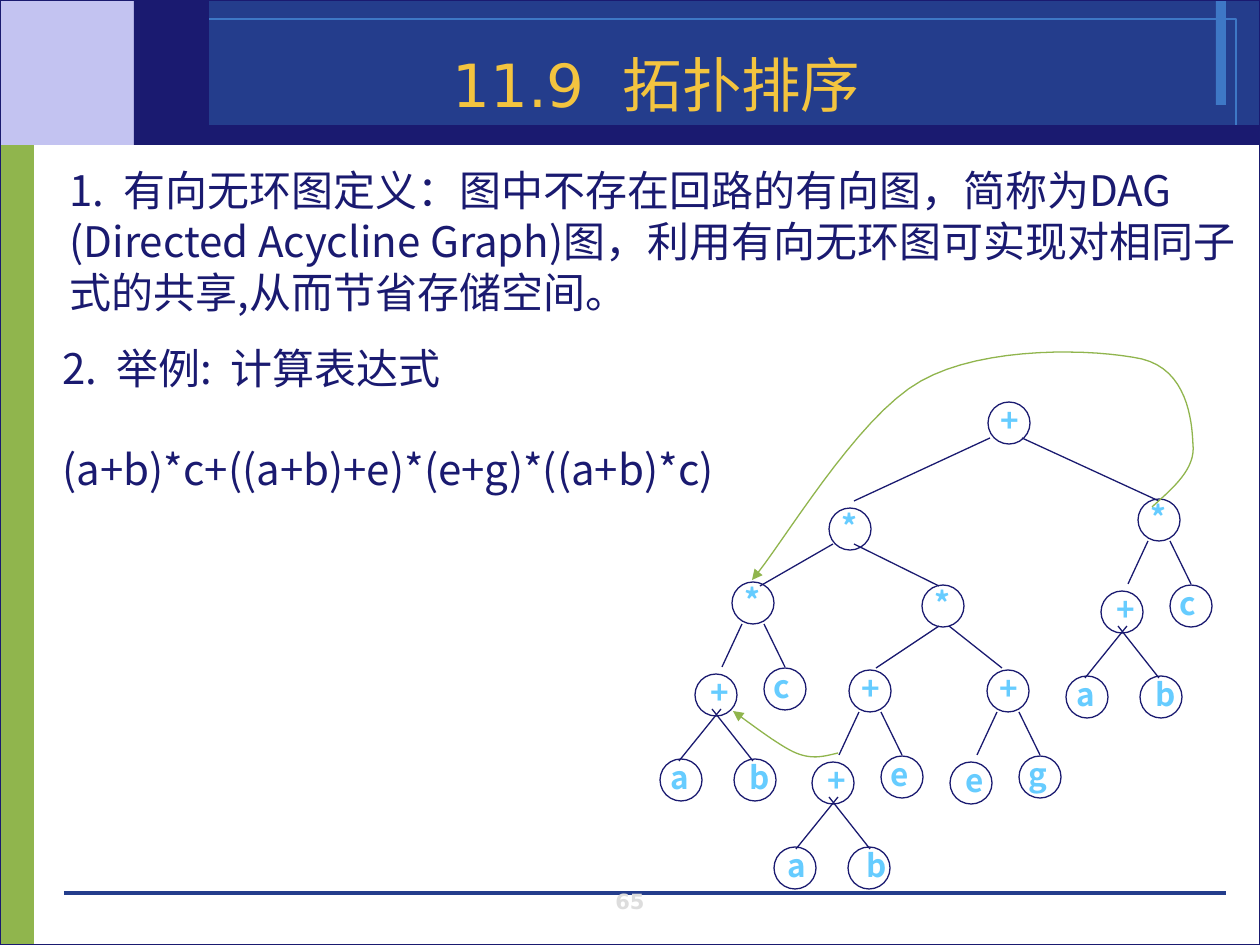
"""Build the topological sorting slide with its shared expression tree."""
from dataclasses import dataclass

from lxml import etree
from pptx import Presentation
from pptx.dml.color import RGBColor
from pptx.enum.shapes import MSO_CONNECTOR, MSO_SHAPE
from pptx.enum.text import MSO_ANCHOR, MSO_AUTO_SIZE, PP_ALIGN
from pptx.oxml.ns import qn
from pptx.util import Pt

RECTANGLE, OVAL = MSO_SHAPE.RECTANGLE, MSO_SHAPE.OVAL
STRAIGHT = MSO_CONNECTOR.STRAIGHT
TOP, BOTTOM = MSO_ANCHOR.TOP, MSO_ANCHOR.BOTTOM
LEFT, CENTER, JUSTIFY = PP_ALIGN.LEFT, PP_ALIGN.CENTER, PP_ALIGN.JUSTIFY
NO_AUTOFIT = MSO_AUTO_SIZE.NONE
EMU_PER_PX = 914400 / 126
NODE_SIZE, LABEL_SIZE = 42, (53, 50)
CURVE_STEPS = 16


@dataclass(frozen=True)
class Theme:
    """Colours, fonts and type sizes of the slide."""
    navy: str = "1A1A70"
    blue: str = "243D8C"
    sky: str = "3E78C6"
    lavender: str = "C3C3F1"
    green: str = "90B54D"
    gold: str = "F3C43F"
    label: str = "66CCFF"
    grey: str = "DDDDDD"
    heading_font: str = "DejaVu Sans"
    body_font: str = "Noto Sans CJK SC"
    serif_font: str = "Times New Roman"
    title_size: int = 34
    body_size: int = 24
    label_size: int = 18
    number_size: int = 12
    line_width: float = 0.75


@dataclass(frozen=True)
class Box:
    """A rectangle in px."""
    left: int
    top: int
    width: int
    height: int

    def inner(self, left, top, width, height):
        """Return a box placed relative to this one."""
        return Box(self.left + left, self.top + top, width, height)

    def point(self, position):
        """Return a relative position in EMU."""
        return px(self.left + position[0]), px(self.top + position[1])

    def emu(self):
        """Return left, top, width and height in EMU."""
        return [px(value) for value in (self.left, self.top, self.width, self.height)]


@dataclass(frozen=True)
class Branch:
    """Offsets from a parent node to its two children, as left and right."""
    nodes: tuple
    edges: tuple
    label_shifts: tuple


THEME = Theme()
FORK = Branch(((-37, 92), (32, 86)),
              (((-10, 85), (10, 42)), ((53, 85), (32, 42))), (3, -3))
LEAVES = Branch(((-35, 85), (39, 85)),
                (((-16, 87), (26, 35)), ((58, 87), (17, 35))), (-2, 3))


def px(value):
    """Turn px into EMU."""
    return round(value * EMU_PER_PX)


def apply_format(target, values):
    """Set attributes from a dict of format values."""
    for name, value in values.items():
        setattr(target, name, value)


def style_line(line, color, width):
    """Give a line its colour and width."""
    line.color.rgb = RGBColor.from_string(color)
    line.width = Pt(width)


def add_outline(slide, kind, box, fill=None, line=None, width=THEME.line_width):
    """Add a preset shape with an optional fill and line."""
    shape = slide.shapes.add_shape(kind, *box.emu())
    shape.shadow.inherit = False
    if fill:
        shape.fill.solid()
        shape.fill.fore_color.rgb = RGBColor.from_string(fill)
    else:
        shape.fill.background()
    if line:
        style_line(shape.line, line, width)
    else:
        shape.line.fill.background()


def add_line(slide, box, start, end, color=THEME.navy, width=THEME.line_width):
    """Add a straight connector between two positions in a box."""
    connector = slide.shapes.add_connector(STRAIGHT, *box.point(start), *box.point(end))
    etree.SubElement(connector.element.spPr, qn("a:effectLst"))
    style_line(connector.line, color, width)


def write_paragraph(paragraph, runs, size, color, bold=False, align=LEFT, before=0):
    """Write runs of text, font and letter spacing into a paragraph."""
    apply_format(paragraph, {"alignment": align, "line_spacing": Pt(round(size * 1.2)),
                             "space_before": Pt(before), "space_after": Pt(0)})
    for text, font_name, spacing in runs:
        run = paragraph.add_run()
        run.text = text
        apply_format(run.font, {"name": font_name, "size": Pt(size), "bold": bold})
        run.font.color.rgb = RGBColor.from_string(color)
        properties = run._r.get_or_add_rPr()
        etree.SubElement(properties, qn("a:ea"), typeface=THEME.body_font)
        if spacing:
            properties.set("spc", str(spacing))


def add_text(slide, box, paragraphs, anchor=TOP, **format_values):
    """Add a text box holding one list of runs per paragraph."""
    frame = slide.shapes.add_textbox(*box.emu()).text_frame
    apply_format(frame, {"word_wrap": True, "vertical_anchor": anchor})
    for index, runs in enumerate(paragraphs):
        paragraph = frame.add_paragraph() if index else frame.paragraphs[0]
        before = format_values["size"] * 1.2 if index else 0
        write_paragraph(paragraph, runs, before=before, **format_values)


def draw_frame(slide, box):
    """Draw the coloured bands, rules and page number."""
    for bounds, fill in (((0, 135, 34, 810), THEME.green),
                         ((0, 0, 193, 145), THEME.lavender),
                         ((193, 0, 1067, 145), THEME.blue),
                         ((1216, 0, 10, 105), THEME.sky)):
        add_outline(slide, RECTANGLE, box.inner(*bounds), fill)
    add_outline(slide, RECTANGLE, box.inner(150, 19, 1086, 107), line=THEME.sky, width=0)
    add_line(slide, box, (64, 893), (1226, 893), THEME.blue, 0)
    for bounds in ((164, 125, 1096, 20), (134, 0, 75, 145)):
        add_outline(slide, RECTANGLE, box.inner(*bounds), THEME.navy)
    add_text(slide, box.inner(483, 888, 294, 32), [[("65", THEME.heading_font, 0)]], BOTTOM,
             size=THEME.number_size, color=THEME.grey, bold=True, align=CENTER)
    add_outline(slide, RECTANGLE, box, line=THEME.navy)


def draw_title(slide, box):
    """Place the title placeholder in front of the bands."""
    title = slide.shapes.title
    apply_format(title, dict(zip(("left", "top", "width", "height"), box.emu())))
    apply_format(title.text_frame, {"word_wrap": True, "vertical_anchor": TOP,
                                    "auto_size": NO_AUTOFIT})
    font = THEME.heading_font
    write_paragraph(title.text_frame.paragraphs[0],
                    [("11.9", font, 0), (" ", font, 1080), ("拓扑排序", font, 0)],
                    THEME.title_size, THEME.gold)
    title.element.getparent().append(title.element)


def draw_body(slide, box):
    """Write the definition and the example expression."""
    font = THEME.body_font
    gap = (" ", font, 540)
    definition = [("1.", font, 0), gap, ("有向无环图", THEME.serif_font, 0),
                  ("定义：图中不存在回路的有向图，简称为DAG (Directed Acycline Graph)图，"
                   "利用有向无环图可实现对相同子式的共享,从而节省存储空间。", font, 0)]
    example = [("2.", font, 0), gap, ("举例:", font, 0), gap, ("计算表达式", font, 0)]
    expression = [("(a+b)*c+((a+b)+e)*(e+g)*((a+b)*c)", font, 0)]
    style = {"size": THEME.body_size, "color": THEME.navy}
    add_text(slide, box.inner(7, 0, 1193, 267), [definition], **style)
    add_text(slide, box.inner(0, 178, 740, 165), [example, expression], **style)


def draw_node(slide, box, position, text, label_shift=0, circle_shift=0):
    """Draw a circle and its label."""
    left, top = position
    add_text(slide, box.inner(left + label_shift, top - 8, *LABEL_SIZE),
             [[(text, THEME.body_font, 0)]], size=THEME.label_size,
             color=THEME.label, bold=True, align=JUSTIFY)
    add_outline(slide, OVAL, box.inner(left + circle_shift, top, NODE_SIZE, NODE_SIZE),
                line=THEME.navy)


def draw_branch(slide, box, parent, texts, branch, circle_shift=0):
    """Draw two children of a node and return their positions."""
    def place(offset):
        return parent[0] + offset[0], parent[1] + offset[1]

    children = [place(offset) for offset in branch.nodes]
    for child, text, edge, shift in zip(children, texts, branch.edges, branch.label_shifts):
        add_line(slide, box, *map(place, edge))
        draw_node(slide, box, child, text, shift, circle_shift)
    return children


def draw_curve(slide, box, controls):
    """Draw chained cubic curves that end in an arrowhead."""
    points = []
    for first in range(0, len(controls) - 1, 3):
        a, b, c, d = controls[first:first + 4]
        for step in range(CURVE_STEPS + 1):
            t = step / CURVE_STEPS
            weights = ((1 - t) ** 3, 3 * t * (1 - t) ** 2, 3 * t * t * (1 - t), t ** 3)
            points.append(box.point([sum(w * p[axis] for w, p in zip(weights, (a, b, c, d)))
                                     for axis in (0, 1)]))
    builder = slide.shapes.build_freeform(*points[0])
    builder.add_line_segments(points[1:], close=False)
    shape = builder.convert_to_shape()
    shape.shadow.inherit = False
    shape.fill.background()
    style_line(shape.line, THEME.green, THEME.line_width)
    etree.SubElement(shape.element.spPr.find(qn("a:ln")), qn("a:tailEnd"), type="triangle")


def draw_tree(slide, box):
    """Draw the expression tree and the two sharing arrows."""
    product_left, product_right = (82, 242), (488, 159)
    sum_left, sum_right = (199, 330), (337, 330)
    for position, text in (((338, 62), "+"), ((179, 168), "*"), (product_left, "*"),
                           ((272, 245), "*"), (product_right, "*"),
                           (sum_left, "+"), (sum_right, "+")):
        draw_node(slide, box, position, text)
    for start, end in (((204, 161), (340, 98)), ((509, 161), (372, 98)),
                       ((110, 246), (183, 204)), ((289, 246), (204, 204)),
                       ((226, 328), (289, 286)), ((352, 328), (299, 286))):
        add_line(slide, box, start, end)
    for parent, sibling, shift in ((product_left, "c", 0), (product_right, "c", 0),
                                   (sum_left, "e", -3)):
        shared_sum = draw_branch(slide, box, parent, ("+", sibling), FORK)[0]
        draw_branch(slide, box, shared_sum, "ab", LEAVES, shift)
    draw_branch(slide, box, sum_right, "eg", FORK)
    draw_curve(slide, box, [(502, 167), (523, 148), (546, 129), (543, 104), (542, 80),
                            (537, 30), (492, 19), (446, 9), (335, 5), (271, 41),
                            (206, 77), (131, 207), (102, 240)])
    draw_curve(slide, box, [(188, 413), (175, 416), (163, 420), (146, 413),
                            (129, 406), (93, 378), (83, 371)])


def main():
    """Build and save the presentation."""
    presentation = Presentation()
    page = Box(0, 0, 1260, 945)
    apply_format(presentation, {"slide_width": px(page.width), "slide_height": px(page.height)})
    slide = presentation.slides.add_slide(presentation.slide_layouts[5])
    draw_frame(slide, page)
    draw_title(slide, page.inner(440, 41, 550, 84))
    draw_body(slide, page.inner(50, 158, 1200, 350))
    draw_tree(slide, page.inner(650, 340, 570, 560))
    presentation.save("out.pptx")


if __name__ == "__main__":
    main()
